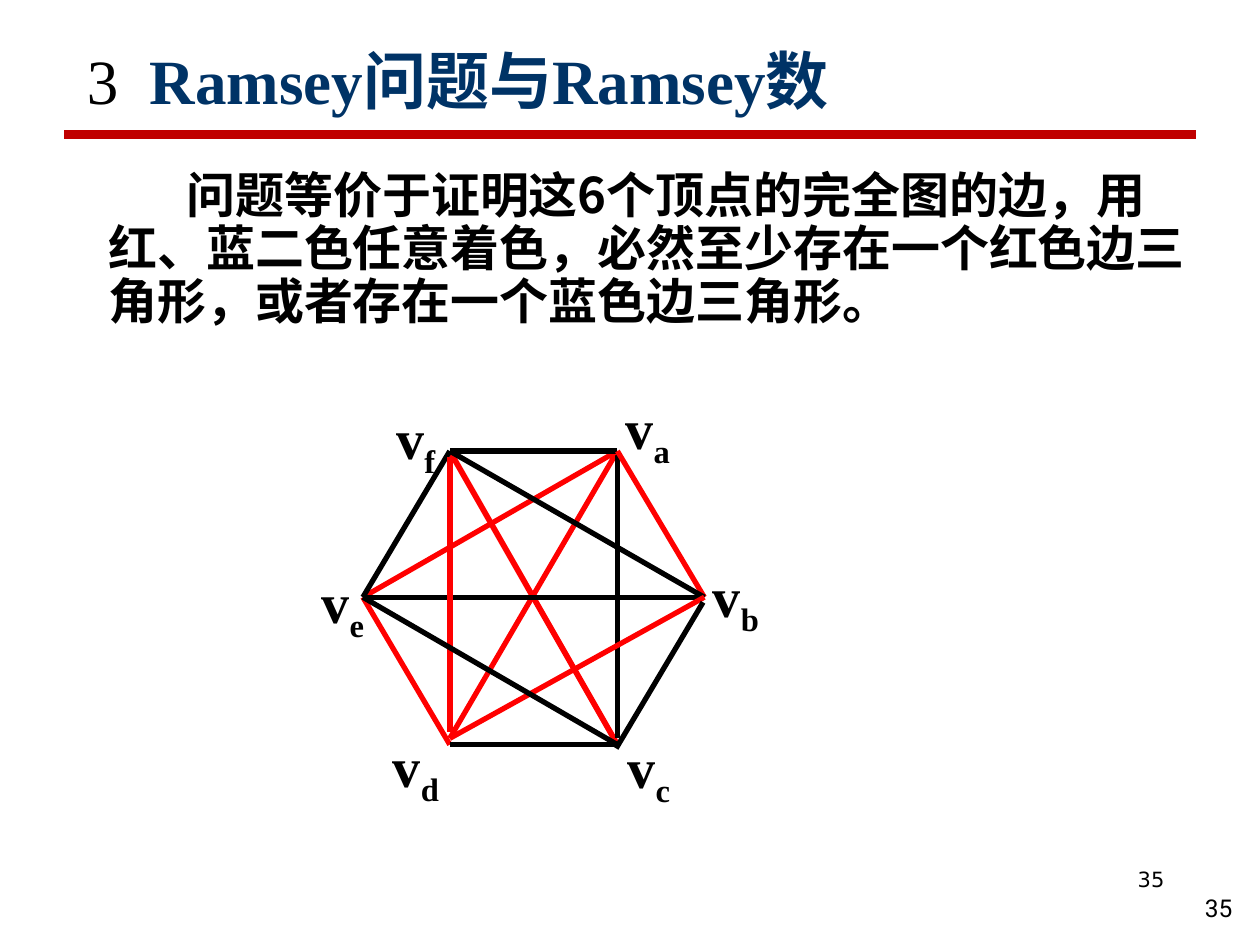
from lxml import etree
from pptx import Presentation
from pptx.dml.color import RGBColor
from pptx.enum.shapes import MSO_CONNECTOR as Connector
from pptx.enum.text import MSO_ANCHOR as Anchor, PP_ALIGN as Align
from pptx.oxml.ns import qn
from pptx.util import Emu, Pt

PX = 9144  # 100 px to the inch
BLACK = RGBColor(0x00, 0x00, 0x00)
RED = RGBColor(0xFF, 0x00, 0x00)
DARK_RED = RGBColor(0xC0, 0x00, 0x00)
NAVY = RGBColor(0x00, 0x33, 0x66)
SERIF, CJK = "Times New Roman", "Noto Sans CJK SC"
LABEL_WIDTH, LABEL_HEIGHT = 80, 70


def px(length):
    return Emu(length * PX)


class SlideBuilder:
    """Holds the text style and the current slide."""

    def __init__(self, slide):
        self.slide = slide

    def text(self, box, runs, size, font, bold=None, align=Align.LEFT,
             anchor=Anchor.TOP, margins=(10, 5), indent=0, tab=0):
        frame = self.slide.shapes.add_textbox(*map(px, box)).text_frame
        frame.word_wrap = True
        frame.vertical_anchor = anchor
        frame.margin_left = frame.margin_right = px(margins[0])
        frame.margin_top = frame.margin_bottom = px(margins[1])
        paragraph = frame.paragraphs[0]
        paragraph.alignment = align
        properties = paragraph._p.get_or_add_pPr()
        if indent:
            properties.set("marL", "0")
            properties.set("indent", str(px(indent)))
        if tab:
            tabs = etree.SubElement(properties, qn("a:tabLst"))
            etree.SubElement(tabs, qn("a:tab"), pos=str(px(tab)), algn="l")
        paragraph.font.size = Pt(size)
        paragraph.font.name = font
        paragraph.font.bold = bold
        paragraph.font.color.rgb = BLACK
        etree.SubElement(paragraph.font._element, qn("a:ea"), typeface=CJK)
        for words in runs:
            paragraph.add_run().text = words
        return paragraph

    def line(self, start, end, color, width):
        connector = self.slide.shapes.add_connector(
            Connector.STRAIGHT, *map(px, start + end))
        connector.line.color.rgb = color
        connector.line.width = Pt(width)
        etree.SubElement(connector._element.spPr, qn("a:effectLst"))

    def vertex_label(self, center, letter):
        box = (center[0] - LABEL_WIDTH // 2, center[1] - LABEL_HEIGHT // 2,
               LABEL_WIDTH, LABEL_HEIGHT)
        paragraph = self.text(box, ["v", letter], 32, SERIF, bold=True,
                              align=Align.CENTER, anchor=Anchor.MIDDLE)
        paragraph.runs[1].font._element.set("baseline", "-25000")


def main():
    presentation = Presentation()
    presentation.slide_width, presentation.slide_height = px(1000), px(750)
    slide = presentation.slides.add_slide(presentation.slide_layouts[6])
    builder = SlideBuilder(slide)

    # Title and rule
    builder.line((51, 107), (949, 107), DARK_RED, 5)
    title = builder.text((59, 28, 858, 71), ["3\t", "Ramsey问题与Ramsey数"],
                         36, SERIF, tab=50)
    title.runs[1].font.bold = True
    title.runs[1].font.color.rgb = NAVY

    # Statement
    statement = builder.text(
        (86, 136, 858, 126),
        ["问题等价于证明这6个顶点的完全图的边，用红、蓝二色任意着色，"
         "必然至少存在一个红色边三角形，或者存在一个蓝色边三角形。"],
        28, CJK, bold=True, margins=(0, 0), indent=62)
    statement.line_spacing = 0.9

    # Vertex labels
    label_centers = {"a": (514, 343), "b": (584, 476), "c": (515, 612),
                     "d": (330, 611), "e": (272, 481), "f": (330, 351)}
    for letter, center in label_centers.items():
        builder.vertex_label(center, letter)

    # Two-coloured complete graph, edges from back to front
    vertices = {"a": (490, 358), "b": (559, 474), "c": (490, 591),
                "d": (357, 591), "e": (288, 474), "f": (357, 358)}
    edges = ["fc", "ad", "ac", "ae", "fa", "fe", "ed", "dc",
             "eb", "ab", "fd", "fb", "bd", "bc", "ec"]
    red_edges = {"fc", "ad", "ae", "ed", "ab", "fd", "bd"}
    thick_edges = {"fc", "dc", "fd"}
    shifted_ends = {"ad": ((490, 358), (357, 586)), "ac": ((490, 358), (490, 586)),
                    "fd": ((357, 363), (357, 581)), "bd": ((559, 474), (357, 586)),
                    "bc": ((558, 478), (489, 594))}
    for edge in edges:
        start, end = shifted_ends.get(edge, (vertices[edge[0]], vertices[edge[1]]))
        builder.line(start, end, RED if edge in red_edges else BLACK,
                     3.25 if edge in thick_edges else 3)

    # Page numbers
    builder.text((717, 683, 217, 52), ["35"], 12, "DejaVu Sans", align=Align.RIGHT)
    builder.text((780, 687, 208, 50), ["35"], 14, "Roboto", align=Align.RIGHT,
                 anchor=Anchor.BOTTOM)

    presentation.save("out.pptx")


if __name__ == "__main__":
    main()
